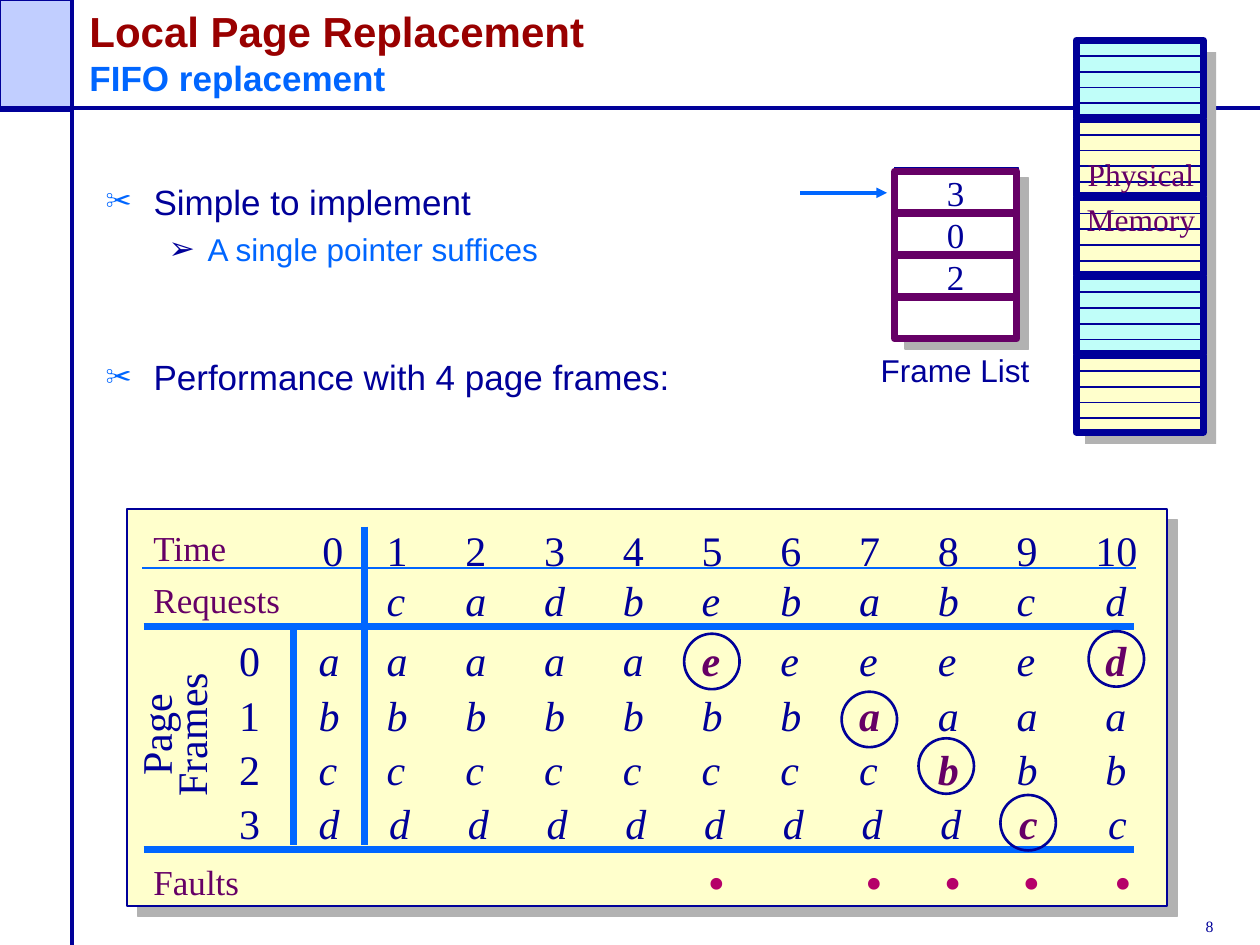
from lxml.etree import SubElement
from pptx import Presentation
from pptx.dml.color import RGBColor
from pptx.enum.shapes import MSO_CONNECTOR as Connector, MSO_SHAPE as Shape
from pptx.enum.text import MSO_ANCHOR as Anchor, MSO_AUTO_SIZE as AutoSize, PP_ALIGN as Align
from pptx.oxml.ns import qn
from pptx.util import Inches, Pt

NAVY = RGBColor(0x00, 0x00, 0x99)
BLUE = RGBColor(0x00, 0x66, 0xFF)
RED = RGBColor(0x99, 0x00, 0x00)
PURPLE = RGBColor(0x66, 0x00, 0x66)
MAGENTA = RGBColor(0xB5, 0x00, 0x69)
LAVENDER = RGBColor(0xC1, 0xCE, 0xFF)
CYAN = RGBColor(0xC0, 0xFE, 0xF9)
CREAM = RGBColor(0xFF, 0xFF, 0xCC)
WHITE = RGBColor(0xFF, 0xFF, 0xFF)
SANS, SERIF = "Arial", "Times New Roman"


class SlideBuilder:
    """Holds the slide and its style; one method for each kind of element."""

    def __init__(self, slide):
        self.slide = slide
        self.shapes = slide.shapes

    def style(self, font, size, color, name=SERIF, bold=False, italic=False):
        font.name, font.size, font.color.rgb = name, Pt(size), color
        font.bold, font.italic = bold, italic

    def box(self, left, top, width, height, fill=None, line=None, weight=1,
            kind=Shape.RECTANGLE, shadow=False, text=""):
        shape = self.shapes.add_shape(
            kind, Inches(left), Inches(top), Inches(width), Inches(height))
        shape.shadow.inherit = False
        if fill is None:
            shape.fill.background()
        else:
            shape.fill.solid()
            shape.fill.fore_color.rgb = fill
        if line is None:
            shape.line.fill.background()
        else:
            shape.line.color.rgb = line
            shape.line.width = Pt(weight)
        if shadow:
            effects = shape._element.spPr.find(qn("a:effectLst"))
            outer = SubElement(effects, qn("a:outerShdw"), blurRad="0",
                               dist=str(Pt(8.5)), dir="2700000", algn="ctr", rotWithShape="0")
            SubElement(outer, qn("a:srgbClr"), val="B2B2B2")
        if text:
            shape.text_frame.text = text
            shape.text_frame.word_wrap = False
            paragraph = shape.text_frame.paragraphs[0]
            paragraph.alignment = Align.CENTER
            self.style(paragraph.runs[0].font, 20, NAVY)
        return shape

    def line(self, x1, y1, x2, y2, color, weight, arrow=False):
        connector = self.shapes.add_connector(
            Connector.STRAIGHT, Inches(x1), Inches(y1), Inches(x2), Inches(y2))
        connector.line.color.rgb = color
        connector.line.width = Pt(weight)
        if arrow:
            SubElement(connector.line._get_or_add_ln(), qn("a:tailEnd"), type="triangle")
        SubElement(connector._element.spPr, qn("a:effectLst"))

    def text(self, left, top, width, height, text, size, color, name=SERIF, italic=False,
             align=Align.LEFT, spacing=None, wrap=False):
        box = self.shapes.add_textbox(
            Inches(left), Inches(top), Inches(width), Inches(height))
        box.text_frame.text = text
        box.text_frame.word_wrap = wrap
        for paragraph in box.text_frame.paragraphs:
            paragraph.alignment = align
            paragraph.line_spacing = spacing
            for run in paragraph.runs:
                self.style(run.font, size, color, name, italic=italic)
        return box

    def tabbed_row(self, left, top, cells, size=24, color=NAVY, italic=True,
                   faults=(), last_offset=0.08):
        """A row of cells on equal tab stops; the cells at faults stand out."""
        box = self.text(left, top, 6.25, 0.5, "", size, color, wrap=True)
        paragraph = box.text_frame.paragraphs[0]
        tabs = SubElement(paragraph._p.get_or_add_pPr(), qn("a:tabLst"))
        for index in range(1, len(cells)):
            offset = last_offset if index == len(cells) - 1 else 0
            SubElement(tabs, qn("a:tab"), pos=str(Inches(0.625 * index + offset)), algn="l")
        for index, cell in enumerate(cells):
            run = paragraph.add_run()
            run.text = "\t" + cell if index else cell
            fault = index + 1 in faults
            self.style(run.font, size, PURPLE if fault else color, bold=fault, italic=italic)

    def title(self, left, top, width, height, lines):
        title = self.shapes.title
        title.left, title.top = Inches(left), Inches(top)
        title.width, title.height = Inches(width), Inches(height)
        frame = title.text_frame
        frame.auto_size = AutoSize.NONE
        frame.vertical_anchor = Anchor.BOTTOM
        frame.text = "\v".join(text for text, _, _ in lines)
        paragraph = frame.paragraphs[0]
        paragraph.alignment = Align.LEFT
        for run, (_, size, color) in zip(paragraph.runs, lines):
            self.style(run.font, size, color, SANS, bold=True)

    def bullets(self, left, top, width, height, items):
        box = self.text(left, top, width, height, "\n".join(item[0] for item in items),
                        20, NAVY, SANS, wrap=True)
        for paragraph, (_, level, before) in zip(box.text_frame.paragraphs, items):
            margin, hang, mark, mark_color, scale, size, color = (
                (0.38, 0.38, "✂", BLUE, 75, 20, NAVY),
                (0.81, 0.31, "➢", NAVY, 100, 18, BLUE))[level]
            paragraph.level = level
            paragraph.space_before = Pt(before)
            properties = paragraph._p.get_or_add_pPr()
            properties.set("marL", str(Inches(margin)))
            properties.set("indent", str(-Inches(hang)))
            bullet_color = SubElement(properties, qn("a:buClr"))
            SubElement(bullet_color, qn("a:srgbClr"), val=str(mark_color))
            SubElement(properties, qn("a:buSzPct"), val=str(scale * 1000))
            SubElement(properties, qn("a:buFont"), typeface=SANS)
            SubElement(properties, qn("a:buChar"), char=mark)
            self.style(paragraph.runs[0].font, size, color, SANS)


def main():
    presentation = Presentation()
    presentation.slide_width, presentation.slide_height = Inches(10), Inches(7.5)
    builder = SlideBuilder(presentation.slides.add_slide(presentation.slide_layouts[5]))

    # Page frame, title and number
    builder.box(0, 0, 0.57, 0.88, LAVENDER, NAVY)
    builder.line(0, 0.86, 10, 0.86, NAVY, 2.25)
    builder.line(0.57, 0, 0.57, 7.5, NAVY, 2.25)
    builder.title(0.61, 0, 7.11, 0.83, [("Local Page Replacement", 24, RED),
                                        ("FIFO replacement", 20, BLUE)])
    builder.text(9.47, 7.23, 0.72, 0.25, "8", 9, NAVY, wrap=True)

    # Bullets: text, level, space before
    builder.bullets(0.74, 1.38, 5.85, 2.46, [
        ("Simple to implement", 0, 0),
        ("A single pointer suffices", 1, 4.5),
        ("Performance with 4 page frames:", 0, 50)])

    # Physical memory: five page frames, each ruled into five
    builder.box(8.53, 0.33, 1.04, 3.11, CYAN, shadow=True)
    for frame, fill in enumerate((None, CREAM, CREAM, None, CREAM)):
        top = 0.32 + 0.625 * frame
        builder.box(8.54, top, 1.01, 0.61, fill, NAVY, 4)
        for rule in range(1, 5):
            y = top + 0.125 * rule
            builder.line(8.55, y, 9.54, y, NAVY, 1)
    builder.text(8.45, 1.12, 1.21, 0.82, "Physical\nMemory", 18, PURPLE,
                 align=Align.CENTER, spacing=1.2, wrap=True)

    # Frame list with its pointer
    builder.box(7.1, 1.33, 0.98, 1.36, WHITE, NAVY, shadow=True)
    for index, label in enumerate(("3", "0", "2", "")):
        builder.box(7.1, 1.36 + 0.333 * index, 0.97, 0.33, None, PURPLE, 4, text=label)
    builder.line(6.35, 1.53, 7.04, 1.53, BLUE, 2, arrow=True)
    builder.text(6.89, 2.74, 1.38, 0.4, "Frame List", 18, NAVY, SANS, align=Align.CENTER)

    # Trace panel and its rules
    builder.box(1.01, 4.04, 8.25, 3.15, CREAM, NAVY, shadow=True)
    builder.line(1.13, 4.51, 9.02, 4.51, BLUE, 1)
    for y in (4.97, 6.74):
        builder.line(1.14, y, 9, y, BLUE, 4)
    for x, top in ((2.33, 5), (2.89, 4.18)):
        builder.line(x, top, x, 6.71, BLUE, 4)

    # Row labels, all in one column width
    for label, top in (("Time", 4.13), ("Requests", 4.54), ("Faults", 6.78)):
        builder.text(1.12, top, 1.4, 0.43, label, 20, PURPLE, wrap=True)
    frames_label = builder.text(0.83, 5.5, 1.18, 0.66, "Page\nFrames", 24, NAVY,
                                align=Align.CENTER, spacing=0.7)
    frames_label.rotation = 270

    # Times, requests and faults
    builder.text(2.46, 4.11, 0.36, 0.5, "0", 24, NAVY)
    builder.tabbed_row(2.97, 4.11, [str(time) for time in range(1, 11)],
                       italic=False, last_offset=0)
    builder.tabbed_row(2.97, 4.51, "cadbebabcd")
    fault_times = (5, 7, 8, 9, 10)
    builder.tabbed_row(3.02, 6.71, ["•" if time in fault_times else "" for time in range(1, 11)],
                       size=28, color=MAGENTA, italic=False, last_offset=0.1)

    # Contents of each page frame: start, then times 1 to 10, and its faults
    trace = (("a", "aaaaeeeeed", (5, 10), 2.97),
             ("b", "bbbbbbaaaa", (7,), 2.97),
             ("c", "cccccccbbb", (8,), 2.97),
             ("d", "ddddddddcc", (9,), 2.99))
    for index, (start, pages, faults, left) in enumerate(trace):
        top = 4.99 + 0.43 * index
        builder.text(1.8, top, 0.36, 0.5, str(index), 24, NAVY)
        builder.text(2.43, top, 0.36, 0.5, start, 24, NAVY, italic=True)
        builder.tabbed_row(left, top, pages, faults=faults)

    # Rings around the faulting pages
    for left, top in ((5.43, 5.03), (6.68, 5.49), (7.29, 5.86), (7.94, 6.31), (8.64, 5.01)):
        builder.box(left, top, 0.44, 0.44, None, NAVY, 1.5, Shape.OVAL)

    presentation.save("out.pptx")


if __name__ == "__main__":
    main()
